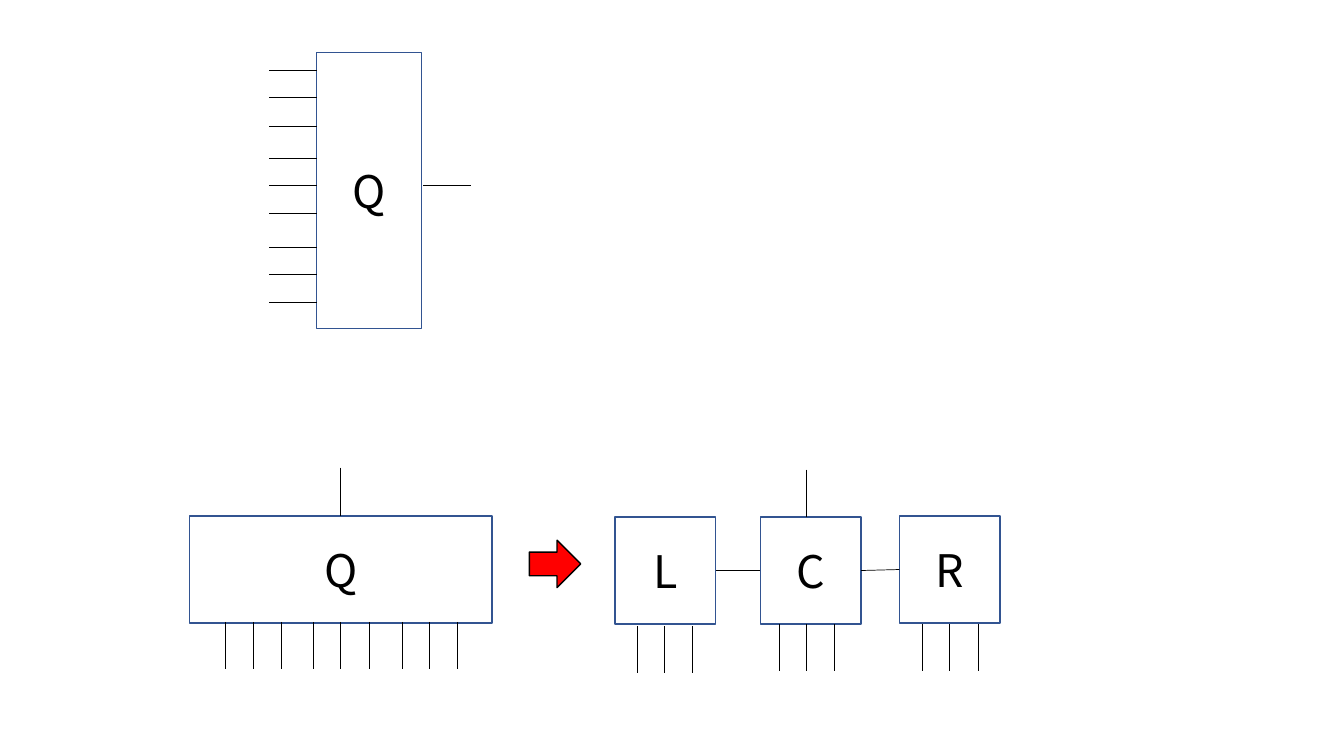
from pptx import Presentation
from pptx.dml.color import RGBColor
from pptx.enum.shapes import MSO_CONNECTOR, MSO_SHAPE
from pptx.enum.text import MSO_ANCHOR, PP_ALIGN
from pptx.util import Inches, Pt
from lxml import etree

LINE = MSO_CONNECTOR.STRAIGHT
RECT, ARROW = MSO_SHAPE.RECTANGLE, MSO_SHAPE.RIGHT_ARROW
MIDDLE, CENTER = MSO_ANCHOR.MIDDLE, PP_ALIGN.CENTER
TOP, LEFT, RIGHT = 0, 1, 3
NS = "http://schemas.openxmlformats.org/drawingml/2006/main"
FONT = "Noto Sans CJK JP"
COLORS = {"white": "FFFFFF", "blue": "325491", "black": "000000", "red": "FF0000"}
HEX = {name: RGBColor.from_string(code) for name, code in COLORS.items()}

deck = Presentation()
deck.slide_width, deck.slide_height = Inches(13.33), Inches(7.5)
slide = deck.slides.add_slide(deck.slide_layouts[6])


def block(text, x, y, w, h, kind=RECT, fill="white", edge="blue", size=32):
    shape = slide.shapes.add_shape(kind, Inches(x), Inches(y), Inches(w), Inches(h))
    shape.shadow.inherit = False
    shape.fill.solid()
    shape.fill.fore_color.rgb = HEX[fill]
    shape.line.color.rgb = HEX[edge]
    shape.line.width = Pt(1)
    if text:
        frame = shape.text_frame
        frame.vertical_anchor = MIDDLE
        para = frame.paragraphs[0]
        para.alignment = CENTER
        run = para.add_run()
        run.text = text
        run.font.name = FONT
        run.font.size = Pt(size)
        run.font.color.rgb = HEX["black"]
    return shape


def wire(x1, y1, x2, y2):
    line = slide.shapes.add_connector(LINE, Inches(x1), Inches(y1), Inches(x2), Inches(y2))
    line.line.color.rgb = HEX["black"]
    line.line.width = Pt(0.5)
    etree.SubElement(line._element.spPr, f"{{{NS}}}effectLst")
    return line


LEG = 0.47
TRIO = (0, 0.27, 0.55)
NINE = [start + step for start in (0, 0.87, 1.75) for step in TRIO]

# Upright Q: nine legs on the left, one on the right
block("Q", 3.14, 0.52, 1.04, 2.74)
for step in NINE:
    wire(3.14, 0.7 + step, 3.14 - LEG, 0.7 + step)
wire(4.67, 1.84, 4.67 - LEG, 1.84)

# Flat Q: nine legs below, one above
flat = block("Q", 1.88, 5.12, 3, 1.06)
for step in NINE:
    wire(2.24 + step, 6.17, 2.24 + step, 6.17 + LEG)
wire(3.38, 4.64, 3.38, 5.12).end_connect(flat, TOP)

# Arrow to the split form
block("", 5.25, 5.36, 0.51, 0.47, kind=ARROW, fill="red", edge="black")

# L, C and R: three legs each
cores = []
for name, x, y, leg_x, leg_y in (
    ("L", 6.1, 5.13, 6.32, 6.21),
    ("C", 7.54, 5.13, 7.73, 6.19),
    ("R", 8.92, 5.12, 9.15, 6.19),
):
    cores.append(block(name, x, y, 1, 1.06))
    for step in TRIO:
        wire(leg_x + step, leg_y, leg_x + step, leg_y + LEG)
wire(8, 4.66, 8, 5.13)

# Bonds between neighbours
for near, far in zip(cores, cores[1:]):
    bond = wire(7.54, 5.66, 7.1, 5.66)
    bond.begin_connect(far, LEFT)
    bond.end_connect(near, RIGHT)

deck.save("out.pptx")
